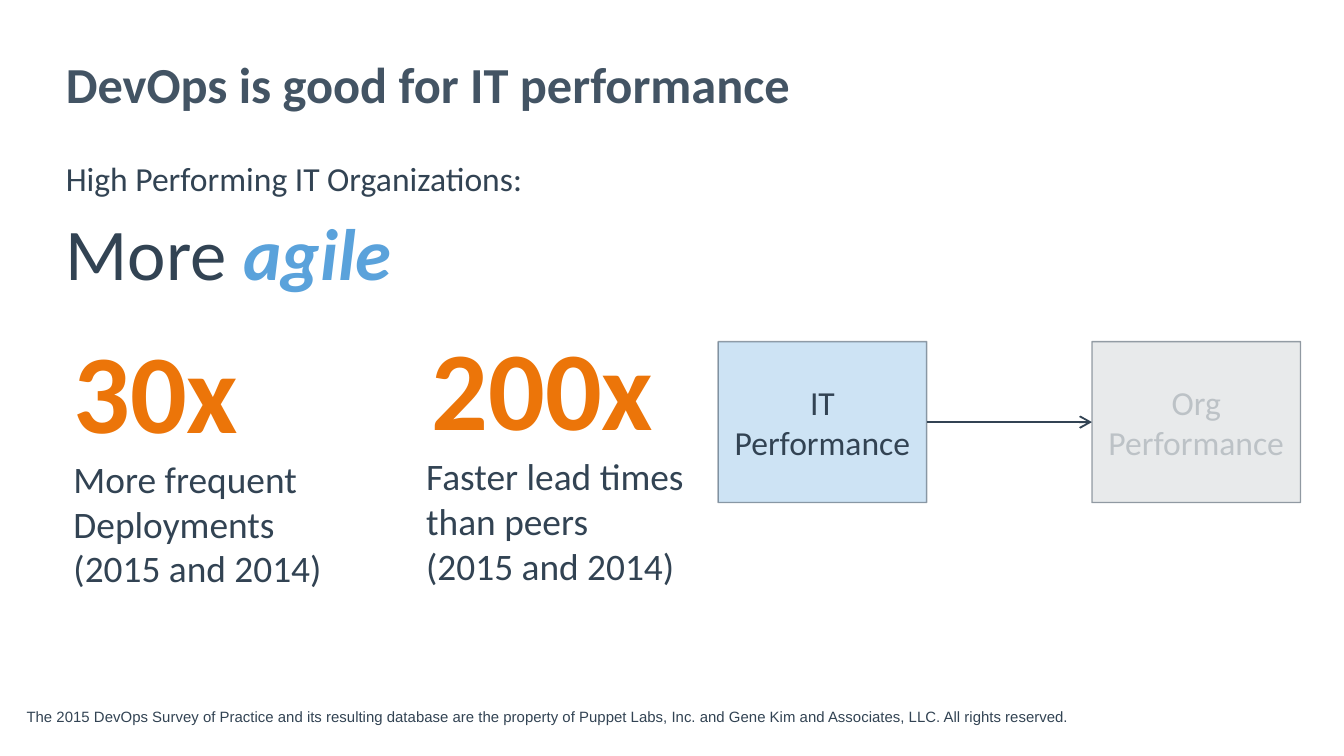
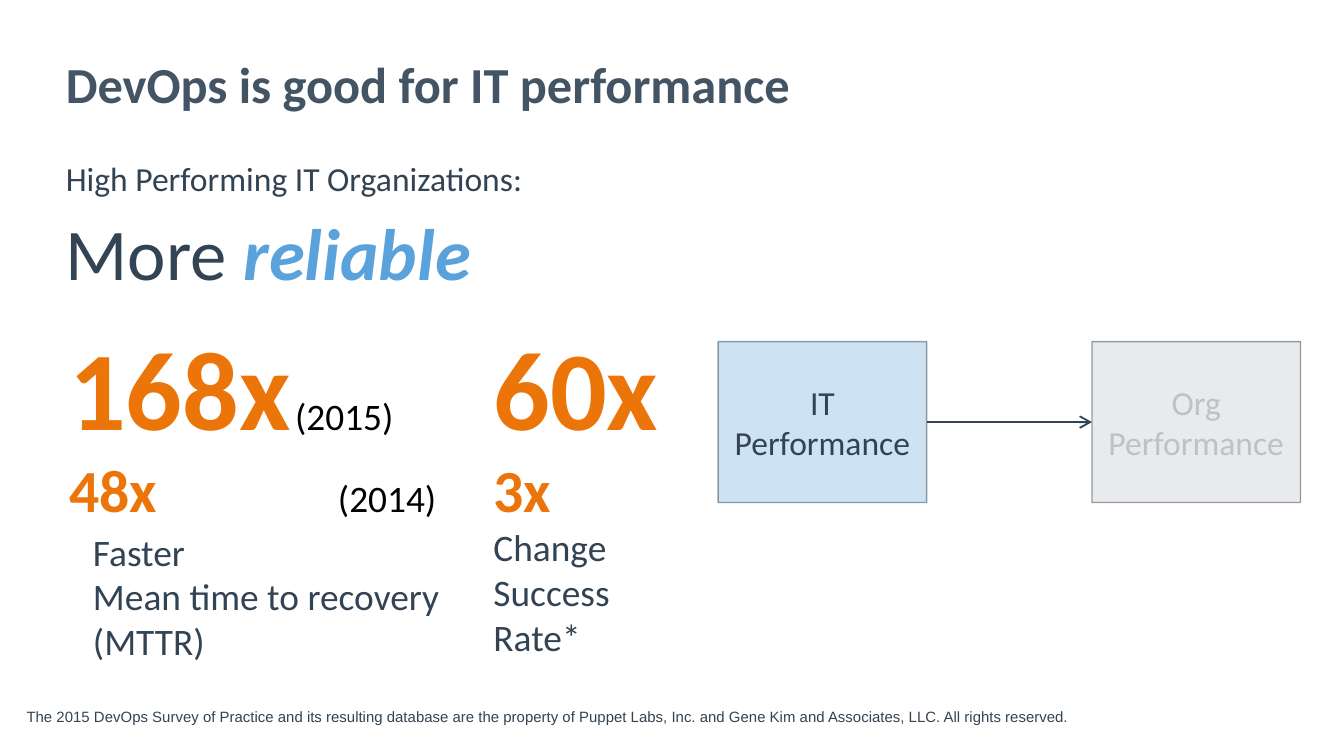
from lxml import etree
from pptx import Presentation
from pptx.dml.color import RGBColor
from pptx.enum.shapes import MSO_CONNECTOR, MSO_SHAPE
from pptx.enum.text import MSO_ANCHOR, MSO_AUTO_SIZE, PP_ALIGN
from pptx.oxml.ns import qn
from pptx.util import Emu, Pt

STRAIGHT = MSO_CONNECTOR.STRAIGHT
RECT = MSO_SHAPE.RECTANGLE
TOP, MIDDLE = MSO_ANCHOR.TOP, MSO_ANCHOR.MIDDLE
GROW, FIXED = MSO_AUTO_SIZE.SHAPE_TO_FIT_TEXT, MSO_AUTO_SIZE.NONE
LEFT, CENTER = PP_ALIGN.LEFT, PP_ALIGN.CENTER

TITLE = "435464"
INK = "324353"
ORANGE = "EC7509"
SKY = "5AA2DB"
BLACK = "000000"
FONT = "Calibri"
FOOTER = ("The 2015 DevOps Survey of Practice and its resulting database are the property of "
          "Puppet Labs, Inc. and Gene Kim and Associates, LLC. All rights reserved.")


def px(n):
    """Convert px, 96 to the inch, into EMU."""
    return Emu(n * 9525)


def rgb(color):
    """Turn a hex string into a colour."""
    return RGBColor.from_string(color)


def set_alpha(fill_parent, percent):
    """Make the solid fill below an element partly transparent."""
    color = fill_parent.find(qn("a:solidFill"))[0]
    etree.SubElement(color, qn("a:alpha"), val=str(percent * 1000))


def format_run(r, size, color, bold=False, italic=False, font=FONT):
    """Set the font of a run."""
    f = r.font
    f.name, f.size, f.bold, f.italic = font, Pt(size), bold, italic
    f.color.rgb = rgb(color)


def set_margins(tf, margin):
    """Set four equal margins."""
    tf.margin_left = tf.margin_right = px(margin)
    tf.margin_top = tf.margin_bottom = px(margin)


def add_tab_stop(p, pos):
    """Give a paragraph one left tab stop."""
    tabs = etree.SubElement(p._p.get_or_add_pPr(), qn("a:tabLst"))
    etree.SubElement(tabs, qn("a:tab"), pos=str(px(pos)), algn="l")


def add_text(s, box, paragraphs, wrap=False, auto_size=GROW):
    """Add a text box from paragraphs, each a list of (text, *format) runs."""
    tf = s.shapes.add_textbox(*map(px, box)).text_frame
    tf.word_wrap = wrap
    tf.auto_size = auto_size
    for i, runs in enumerate(paragraphs):
        p = tf.paragraphs[0] if i == 0 else tf.add_paragraph()
        for text, *style in runs:
            r = p.add_run()
            r.text = text
            format_run(r, *style)
    return tf


def add_label(s, box, lines):
    """Add the lines that explain a figure."""
    add_text(s, box, [[(line, 20, INK)] for line in lines])


def add_box(s, left, text, fill, text_alpha=None):
    """Add one box of the performance diagram."""
    sp = s.shapes.add_shape(RECT, px(left), px(244), px(149), px(115))
    sp.shadow.inherit = False
    sp.fill.solid()
    sp.fill.fore_color.rgb = rgb(fill)
    set_alpha(sp._element.spPr, 75)
    sp.line.color.rgb = rgb(INK)
    sp.line.width = Pt(0.75)
    set_alpha(sp.line._get_or_add_ln(), 50)
    tf = sp.text_frame
    tf.text = text
    tf.word_wrap = True
    tf.vertical_anchor = MIDDLE
    p = tf.paragraphs[0]
    p.alignment = CENTER
    r = p.runs[0]
    format_run(r, 18, INK)
    if text_alpha:
        set_alpha(r._r.rPr, text_alpha)
    return sp


def add_arrow(s, start, end):
    """Join the right side of one box to the left side of another."""
    c = s.shapes.add_connector(STRAIGHT, 0, 0, 0, 0)
    c.begin_connect(start, 3)
    c.end_connect(end, 1)
    c.line.color.rgb = rgb(INK)
    c.line.width = Pt(1)
    etree.SubElement(c.line._get_or_add_ln(), qn("a:tailEnd"), type="arrow")
    etree.SubElement(c._element.spPr, qn("a:effectLst"))


def add_title(s, text):
    """Place and format the slide title."""
    sp = s.shapes.title
    sp.left, sp.top, sp.width, sp.height = map(px, (40, 36, 880, 55))
    tf = sp.text_frame
    tf.text = text
    tf.word_wrap = True
    tf.auto_size = GROW
    tf.vertical_anchor = TOP
    set_margins(tf, 7)
    p = tf.paragraphs[0]
    p.alignment = LEFT
    p.line_spacing = 0.9
    format_run(p.runs[0], 27, TITLE, True)


def add_base_slide(prs, quality):
    """Add a slide with everything the slides share."""
    s = prs.slides.add_slide(prs.slide_layouts[5])
    add_title(s, "DevOps is good for IT performance")
    tf = add_text(s, (40, 106, 832, 364), [
        [("High Performing IT Organizations:", 18, INK)],
        [("More ", 39, INK), (quality, 39, SKY, True, True)],
    ], True, FIXED)
    set_margins(tf, 7)
    tf.paragraphs[1].space_before = Pt(5)
    it = add_box(s, 513, "IT Performance", "BDDAF1")
    org = add_box(s, 780, "Org Performance", "E1E3E5", 24)
    add_arrow(s, it, org)
    tf = add_text(s, (12, 501, 816, 26),
                  [[(FOOTER, 8, INK, False, False, "Arial")]], True)
    set_margins(tf, 7)
    tf.paragraphs[0].line_spacing = 0.9
    return s


def add_agile_slide(prs):
    """Add the slide on deployments and lead times."""
    s = add_base_slide(prs, "agile")
    add_text(s, (43, 225, 165, 107), [[("30x", 60, ORANGE, True)]])
    add_label(s, (43, 321, 198, 107), ["More frequent", "Deployments", "(2015 and 2014)"])
    add_text(s, (299, 223, 213, 107), [[("200x", 60, ORANGE, True)]])
    add_label(s, (295, 319, 204, 107), ["Faster lead times", "than peers", "(2015 and 2014)"])


def add_reliable_slide(prs):
    """Add the slide on recovery time and change success."""
    s = add_base_slide(prs, "reliable")
    add_text(s, (343, 223, 165, 158),
             [[("60x", 60, ORANGE, True)], [("3x", 32, ORANGE, True)]])
    add_label(s, (343, 370, 103, 107), ["Change", "Success", "Rate*"])
    tf = add_text(s, (40, 223, 288, 158), [
        [("168x", 60, ORANGE, True), (" ", 10, ORANGE, True), ("(2015)", 20, BLACK)],
        [("48x\t", 32, ORANGE, True), ("(2014)", 20, BLACK)],
    ])
    add_tab_stop(tf.paragraphs[1], 192)
    add_label(s, (57, 373, 270, 107), ["Faster", "Mean time to recovery", "(MTTR)"])


def main():
    """Build and save the presentation."""
    prs = Presentation()
    prs.slide_width, prs.slide_height = px(960), px(540)
    add_agile_slide(prs)
    add_reliable_slide(prs)
    prs.save("out.pptx")


if __name__ == "__main__":
    main()
